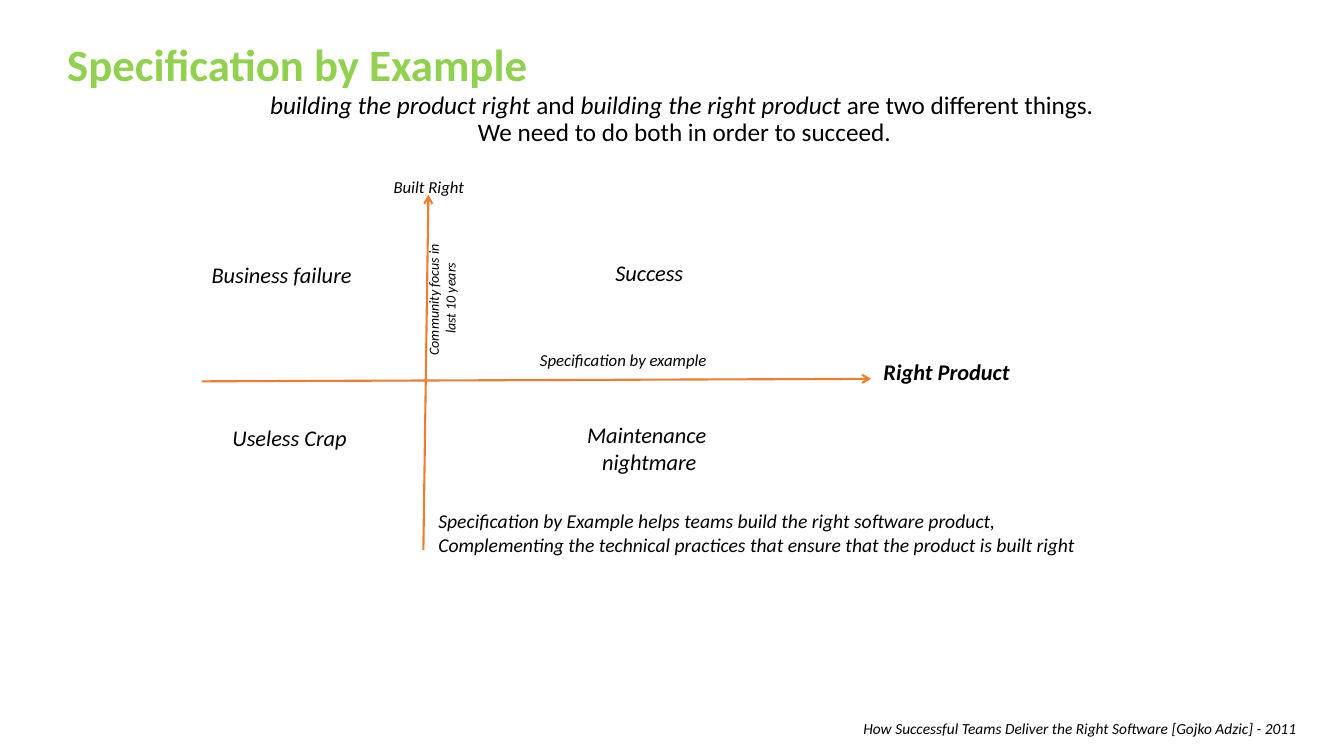
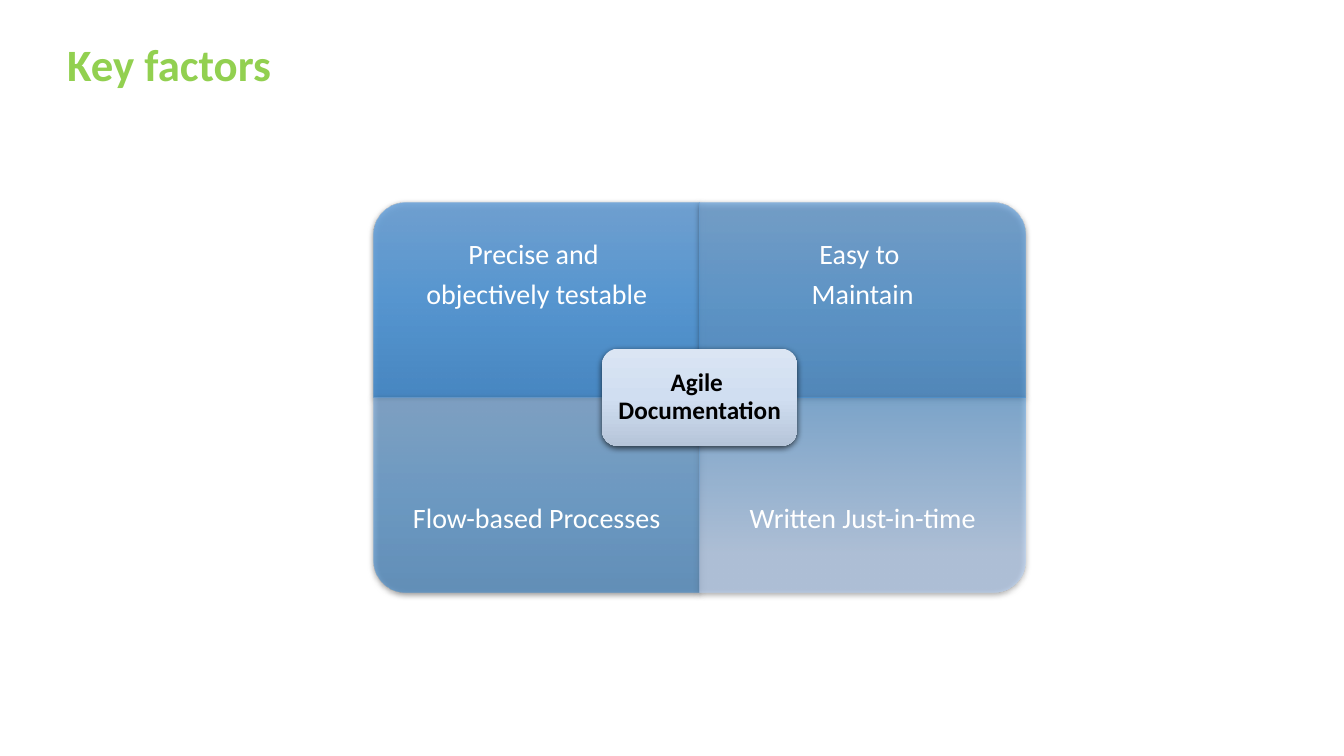
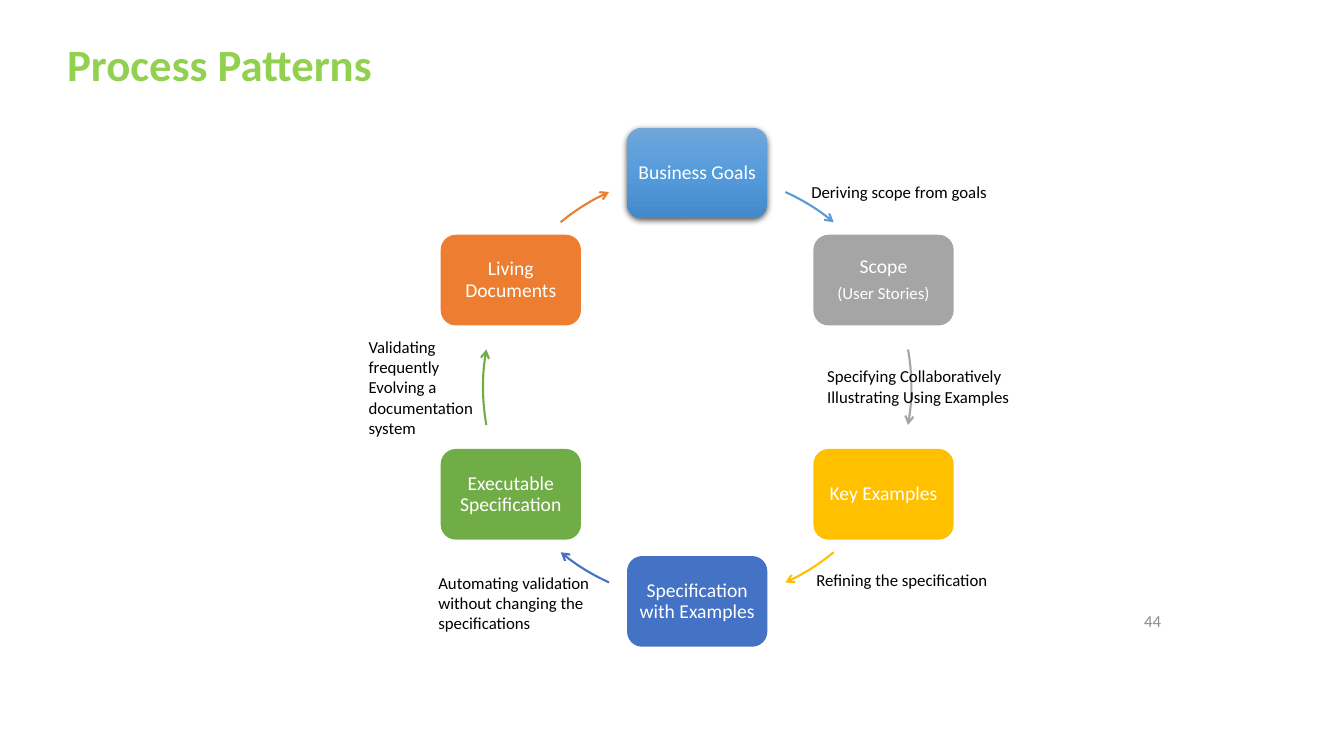
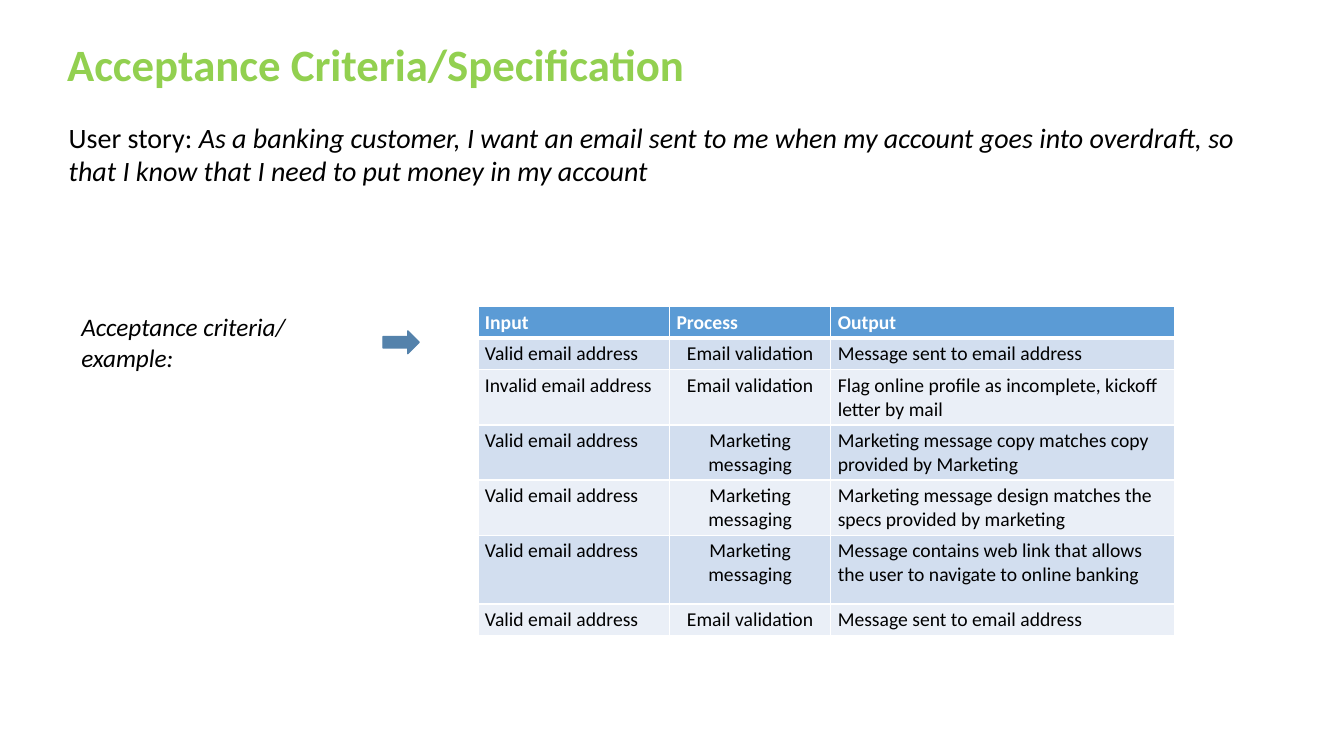
from lxml import etree
from pptx import Presentation, util as u
from pptx.dml.color import RGBColor
from pptx.enum import shapes, text
from pptx.oxml.ns import qn

COLORS = {
    "title": "92D050", "ink": "000000", "paper": "FFFFFF", "number": "8C8C8C",
    "blue": "5B9BD5", "orange": "ED7D31", "gray": "A5A5A5", "gold": "FFC000",
    "navy": "4472C4", "green": "70AD47", "steel": "5482AB",
    "band": "D2DEEF", "pale band": "EAEFF7",
}
GLOSS = [(0, "71A6DB"), (50, "559BDB"), (100, "448ACA")]
SKY = [(0, "499CE7"), (80, "B0D2FF")]
FROST = [(0, "DBE5F3"), (50, "D0DEF1"), (100, "B6C5D9")]
CENTER, RIGHT = text.PP_ALIGN.CENTER, text.PP_ALIGN.RIGHT
MIDDLE = text.MSO_ANCHOR.MIDDLE
SHAPE = shapes.MSO_SHAPE


def add_node(parent, tag, **attributes):
    """Append a DrawingML element and return it."""
    node = etree.SubElement(parent, qn(tag))
    for name, value in attributes.items():
        node.set(name, str(value))
    return node


def add_color(parent, value, alpha=100):
    """Append an RGB colour with its opacity in percent."""
    color = add_node(parent, "a:srgbClr", val=value)
    if alpha < 100:
        add_node(color, "a:alpha", val=alpha * 1000)


class Deck:
    """Holds the style, a grid of 160 columns by 90 rows, and the current slide."""

    COLUMNS, ROWS = 160, 90
    CELL = u.Inches(1) // 12
    FONT = "Calibri"

    def __init__(self):
        """Start an empty widescreen presentation."""
        self.show = Presentation()
        self.show.slide_width, self.show.slide_height = self.cells(self.COLUMNS, self.ROWS)

    def cells(self, *lengths):
        """Turn grid lengths into slide units."""
        return [u.Emu(round(length * self.CELL)) for length in lengths]

    def rgb(self, name):
        """Look up a colour of the palette."""
        return RGBColor.from_string(COLORS[name])

    def slide(self, title):
        """Open a new slide with its title."""
        self.page = self.show.slides.add_slide(self.show.slide_layouts[6])
        self.label((7.4, 4.1, 149.5, 8.2), [title], 32, "title", bold=True,
                   anchor=MIDDLE, inset=(0.6, 0.6), spacing=0.8)

    def compose(self, frame, lines, size, color="ink", bold=False, italic=False,
                align=None, anchor=None, inset=(1.2, 0.6), spacing=None, after=0, wrap=True):
        """Fill a text frame; asterisks switch italics on and off."""
        frame.word_wrap = wrap
        frame.margin_left, frame.margin_top = frame.margin_right, frame.margin_bottom = self.cells(*inset)
        frame.vertical_anchor = anchor or text.MSO_ANCHOR.TOP
        for index, line in enumerate(lines):
            paragraph = frame.add_paragraph() if index else frame.paragraphs[0]
            paragraph.alignment = align
            paragraph.line_spacing = spacing
            if after:
                paragraph.space_after = u.Pt(round(size * after))
            self.font(paragraph.font, size, color, bold, italic)
            for piece_index, piece in enumerate(line.split("*")):
                for part_index, part in enumerate(piece.split("\n")):
                    if part_index:
                        paragraph.add_line_break()
                    if part:
                        run = paragraph.add_run()
                        run.text = part
                        if piece_index % 2:
                            run.font.italic = True

    def font(self, font, size, color, bold, italic):
        """Set the deck's font on a paragraph."""
        font.name, font.size = self.FONT, u.Pt(size)
        font.bold, font.italic = bold, italic
        font.color.rgb = self.rgb(color)

    def label(self, area, lines, size, color="ink", turn=0, **style):
        """Place free text on the grid."""
        box = self.page.shapes.add_textbox(*self.cells(*area))
        box.rotation = turn
        self.compose(box.text_frame, lines, size, color, **style)

    def block(self, kind, area, fill, turn=0, alpha=100):
        """Place a flat shape, or a glossy one with a shadow if fill lists stops."""
        left, top, width, height = area
        if turn % 180:
            left, top = left + (width - height) / 2, top + (height - width) / 2
            width, height = height, width
        shape = self.page.shapes.add_shape(kind, *self.cells(left, top, width, height))
        shape.rotation = turn
        shape.shadow.inherit = False
        shape.line.fill.background()
        if isinstance(fill, str):
            shape.fill.solid()
            shape.fill.fore_color.rgb = self.rgb(fill)
        else:
            self.gloss(shape, fill, alpha)
        return shape

    def gloss(self, shape, stops, alpha):
        """Give a shape an upright gradient and a soft shadow."""
        shape.fill.gradient()
        shape.fill.gradient_angle = 270
        properties = shape.element.spPr
        gradient = properties.find(qn("a:gradFill"))
        gradient.set("rotWithShape", "0")
        stop_list = gradient.find(qn("a:gsLst"))
        for stop in list(stop_list):
            stop_list.remove(stop)
        for place, color in stops:
            add_color(add_node(stop_list, "a:gs", pos=place * 1000), color, alpha)
        shadow = add_node(properties.find(qn("a:effectLst")), "a:outerShdw", blurRad=u.Pt(4.5),
                          dist=u.Pt(1.5), dir=5400000, algn="ctr", rotWithShape=0)
        add_color(shadow, COLORS["ink"], 63)

    def arrowhead(self, shape, color):
        """Draw an outline that ends in an open arrowhead."""
        shape.line.color.rgb = self.rgb(color)
        shape.line.width = u.Pt(1.5)
        add_node(shape.element.spPr.find(qn("a:ln")), "a:tailEnd", type="arrow")

    def axis(self, start, end, color):
        """Draw a straight arrow."""
        line = self.page.shapes.add_connector(shapes.MSO_CONNECTOR.STRAIGHT, *self.cells(*start, *end))
        self.arrowhead(line, color)
        add_node(line.element.spPr, "a:effectLst")

    def arc(self, center, radius, span, color):
        """Draw an arrow along a circle, with angles clockwise from the top."""
        x, y = center
        arc = self.page.shapes.add_shape(
            SHAPE.ARC, *self.cells(x - radius, y - radius, 2 * radius, 2 * radius))
        for index, angle in enumerate(span):
            arc.adjustments[index] = (angle - 90) % 360 * 0.6
        arc.shadow.inherit = False
        arc.fill.background()
        self.arrowhead(arc, color)

    def table(self, corner, columns, rows, records):
        """Place a banded table with white rules and a centred second column."""
        area = self.cells(*corner, sum(columns), sum(rows))
        grid = self.page.shapes.add_table(len(rows), len(columns), *area).table
        for column, width in zip(grid.columns, self.cells(*columns)):
            column.width = width
        for row, height in zip(grid.rows, self.cells(*rows)):
            row.height = height
        for row_index, record in enumerate(records):
            header = row_index == 0
            for column_index, entry in enumerate(record):
                cell = grid.cell(row_index, column_index)
                for side in "LRTB":
                    thick = header and side == "B" or row_index == 1 and side == "T"
                    rule = add_node(cell._tc.get_or_add_tcPr(), "a:ln" + side, w=u.Pt(3 if thick else 1))
                    add_color(add_node(rule, "a:solidFill"), COLORS["paper"])
                cell.fill.solid()
                cell.fill.fore_color.rgb = self.rgb(
                    "blue" if header else "band" if row_index % 2 else "pale band")
                cell.margin_left = cell.margin_right = u.Inches(0.07)
                cell.margin_top = cell.margin_bottom = u.Inches(0.04)
                paragraph = cell.text_frame.paragraphs[0]
                paragraph.text = entry
                paragraph.alignment = CENTER if column_index == 1 and not header else None
                self.font(paragraph.font, 14, "paper" if header else "ink", header, False)


def example_slide(deck):
    """Show the quadrants of building right and building the right product."""
    deck.slide("Specification by Example")
    deck.label((10, 10.4, 143, 7.8),
               ["*building the product right *and *building the right product *are two different things. \n"
                "We need to do both in order to succeed."], 18, align=CENTER, spacing=0.9)
    deck.axis((24, 45.4), (103.7, 45.1), "orange")
    deck.axis((50.4, 65.5), (51, 23.2), "orange")
    deck.label((104, 42, 31.6, 5.2), ["Right Product"], 16, bold=True, italic=True)
    deck.label((44, 32.4, 18.2, 6.2), ["Community focus in ", "last 10 years"], 10,
               turn=270, italic=True, align=CENTER)
    for area, lines, size, align in [
        ((63.1, 41, 38, 4.2), ["Specification by example"], 12, None),
        ((63.1, 49.6, 28.4, 8.9), ["Maintenance ", "nightmare"], 16, CENTER),
        ((26.5, 49.9, 22.6, 5.2), ["Useless Crap"], 16, None),
        ((24, 30.5, 30.8, 5.2), ["Business failure"], 16, None),
        ((43.8, 20.4, 14.5, 4.2), ["Built Right"], 12, CENTER),
        ((63.1, 30.2, 28.4, 5.2), ["Success"], 16, CENTER),
        ((51, 60, 83.3, 11.2),
         ["Specification by Example helps teams build the right software product,",
          "Complementing the technical practices that ensure that the product is built right"], 14, None),
        ((101.6, 85, 55.5, 3.5),
         ["How Successful Teams Deliver the Right Software [Gojko Adzic] - 2011"], 11, None),
    ]:
        deck.label(area, lines, size, italic=True, align=align)


def factors_slide(deck):
    """Show four factors around agile documentation."""
    deck.slide("Key factors")
    left, top, width, height, text_height = 44.5, 24.1, 38.8, 23.2, 17.4
    factors = [
        (["Precise and ", "objectively testable"], 270, GLOSS, 90),
        (["Easy to ", "Maintain"], 0, GLOSS, 77),
        (["Flow-based Processes"], 180, GLOSS, 63),
        (["Written Just-in-time"], 90, SKY, 50),
    ]
    for index, (lines, turn, stops, alpha) in enumerate(factors):
        row, column = divmod(index, 2)
        x, y = left + column * width, top + row * height
        deck.block(SHAPE.ROUND_1_RECTANGLE, (x, y, width, height), stops, turn, alpha)
        deck.label((x, y + row * (height - text_height), width, text_height), lines, 20, "paper",
                   align=CENTER, anchor=MIDDLE, inset=(1.9, 1.9), spacing=0.9, after=0.35)
    hub = deck.block(SHAPE.ROUNDED_RECTANGLE,
                     (left + 0.7 * width, top + 0.75 * height, 0.6 * width, height / 2), FROST)
    deck.compose(hub.text_frame, ["Agile \nDocumentation"], 18, bold=True, align=CENTER,
                 anchor=MIDDLE, inset=(0.85, 0.85), spacing=0.9)


def process_slide(deck):
    """Show the cycle of process patterns."""
    deck.slide("Process Patterns")
    deck.label((133.3, 72, 6.1, 3.7), ["44"], 12, "number", align=RIGHT, anchor=MIDDLE)
    center, radius, width, height = (83, 46.1), 25.5, 16.7, 10.8
    spans = [(24.3, 39.6), (79.85, 100.15), (140.4, 155.7)]
    offsets = [(0, -1), (0.87, -0.5), (0.87, 0.5), (0, 1), (-0.87, 0.5), (-0.87, -0.5)]
    steps = [
        (["Business Goals"], "blue"),
        (["Scope", "(User Stories)"], "gray"),
        (["Key Examples"], "gold"),
        (["Specification with Examples"], "navy"),
        (["Executable Specification"], "green"),
        (["Living Documents"], "orange"),
    ]
    for index, ((lines, color), (right, down)) in enumerate(zip(steps, offsets)):
        x, y = center[0] + right * radius, center[1] + down * radius
        step = deck.block(SHAPE.ROUNDED_RECTANGLE, (x - width / 2, y - height / 2, width, height),
                          color if index else GLOSS)
        deck.compose(step.text_frame, lines, 14, "paper", align=CENTER, anchor=MIDDLE,
                     inset=(0.7, 0.7), spacing=0.9, after=0.35)
        for detail in step.text_frame.paragraphs[1:]:
            detail.font.size = u.Pt(12)
        half, place = divmod(index, 3)
        deck.arc(center, radius, [angle + 180 * half for angle in spans[place]], color)
    for area, lines, wrap in [
        ((95.4, 21.1, 23.6, 3.6), ["Deriving scope from goals"], False),
        ((97.3, 43, 24.5, 6), ["Specifying Collaboratively", "Illustrating Using Examples"], False),
        ((96, 67.2, 23.2, 3.6), ["Refining the specification"], False),
        ((51, 67.6, 22, 8.5), ["Automating validation without changing the specifications"], True),
        ((42.7, 39.5, 16.6, 13.3), ["Validating frequently", "Evolving a documentation system"], True),
    ]:
        deck.label(area, lines, 12, wrap=wrap)


def criteria_slide(deck):
    """Show a user story with its acceptance criteria."""
    deck.slide("Acceptance Criteria/Specification")
    deck.label((7, 13.7, 145, 9.2),
               ["User story: *As a banking customer, I want an email sent to me when my account goes "
                "into overdraft, so that I know that I need to put money in my account"], 20)
    valid, check, messaging = "Valid email address", "Email validation", "Marketing messaging"
    sent = "Message sent to email address"
    deck.table((56.9, 36.5), [22.8, 19.2, 40.9], [3.6, 3.6, 5.6, 5.6, 5.6, 8.2, 3.6], [
        ("Input", "Process", "Output"),
        (valid, check, sent),
        ("Invalid email address", check, "Flag online profile as incomplete, kickoff letter by mail"),
        (valid, messaging, "Marketing message copy matches copy provided by Marketing"),
        (valid, messaging, "Marketing message design matches the specs provided by marketing"),
        (valid, messaging, "Message contains web link that allows the user to navigate to online banking"),
        (valid, check, sent),
    ])
    deck.label((8.5, 36.5, 32.6, 8.5), ["Acceptance criteria/", "example:"], 18, italic=True)
    pointer = deck.block(SHAPE.RIGHT_ARROW, (45.6, 39.4, 4.3, 2.7), "steel")
    pointer.line.color.rgb = deck.rgb("steel")
    pointer.line.width = u.Pt(1)


def main():
    """Build and save the slides."""
    deck = Deck()
    for build in (example_slide, factors_slide, process_slide, criteria_slide):
        build(deck)
    deck.show.save("out.pptx")


if __name__ == "__main__":
    main()
